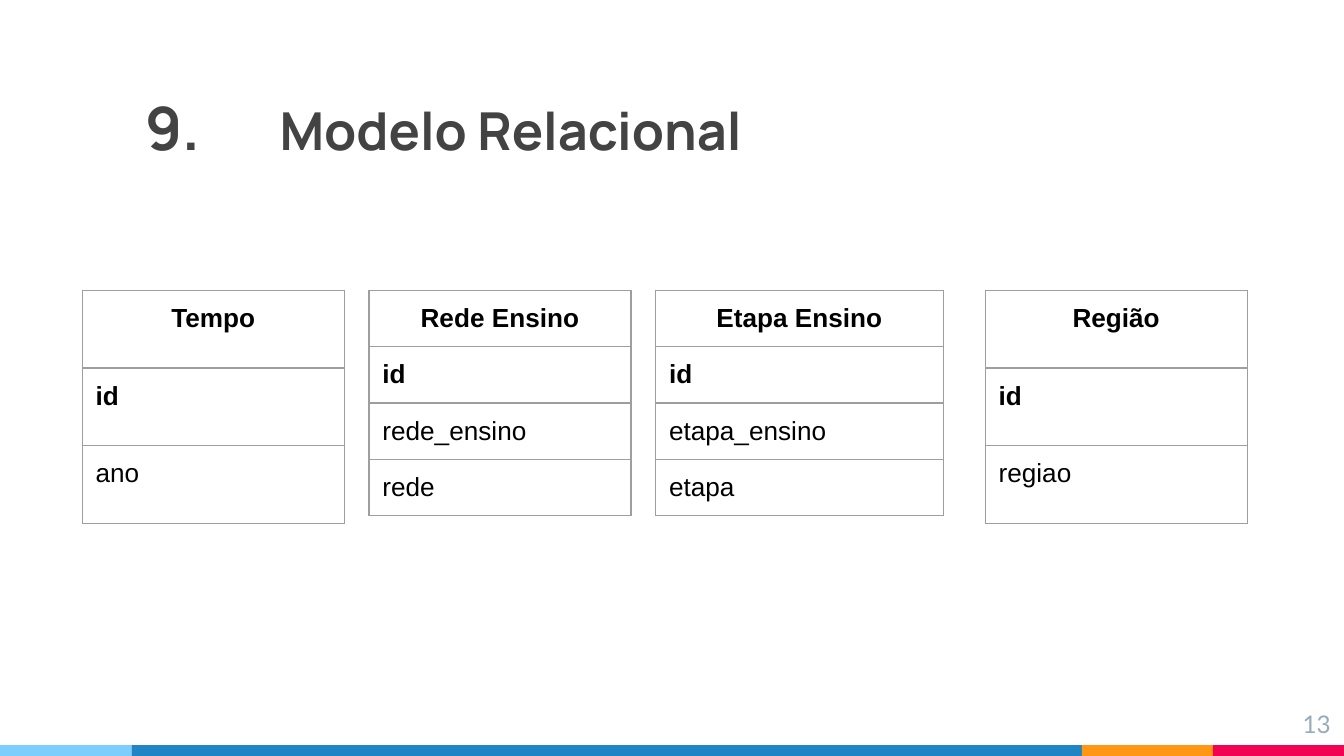
import pptx
import pptx.dml.color
import pptx.enum.shapes
import pptx.enum.text
import pptx.oxml
import pptx.oxml.ns
import pptx.util

ALIGN = pptx.enum.text.PP_ALIGN
ANCHOR = pptx.enum.text.MSO_ANCHOR
COLORS = {
    "white": "FFFFFF", "black": "000000", "title": "434343",
    "number": "97ABBC", "border": "9E9E9E",
    "sky": "7ECEFD", "blue": "2185C5", "orange": "FF9715", "red": "F20253",
}


def color(name):
    return pptx.dml.color.RGBColor.from_string(COLORS[name])


def add_text(paragraph, text, size=14, font="Arial", ink="black", bold=False,
             align=ALIGN.LEFT):
    paragraph.alignment = align
    run = paragraph.add_run()
    run.text = text
    run.font.size = pptx.util.Pt(size)
    run.font.name = font
    run.font.bold = bold
    run.font.color.rgb = color(ink)


class SlideBuilder:
    """Places elements on a grid of 100 columns and 56.25 rows."""

    columns, rows = 100, 56.25
    cell = pptx.util.Inches(0.1)
    margin = pptx.util.Inches(0.1)

    def __init__(self, presentation):
        presentation.slide_width = self.length(self.columns)
        presentation.slide_height = self.length(self.rows)
        title_only = presentation.slide_layouts[5]
        self.slide = presentation.slides.add_slide(title_only)
        self.slide.background.fill.solid()
        self.slide.background.fill.fore_color.rgb = color("white")

    def length(self, units):
        return pptx.util.Emu(round(units * self.cell))

    def box(self, *units):
        return [self.length(unit) for unit in units]

    def set_frame(self, frame, anchor):
        frame.word_wrap = True
        frame.auto_size = pptx.enum.text.MSO_AUTO_SIZE.NONE
        frame.vertical_anchor = anchor
        frame.margin_left = frame.margin_right = self.margin
        frame.margin_top = frame.margin_bottom = self.margin

    def bar(self, left, width, fill, height=0.8):
        shape = self.slide.shapes.add_shape(
            pptx.enum.shapes.MSO_SHAPE.RECTANGLE,
            *self.box(left, self.rows - height, width, height))
        shape.shadow.inherit = False
        shape.fill.solid()
        shape.fill.fore_color.rgb = color(fill)
        shape.line.fill.background()

    def title(self, number, text, left, top, width, height, tab=10):
        shape = self.slide.shapes.title
        shape.left, shape.top, shape.width, shape.height = self.box(
            left, top, width, height)
        self.set_frame(shape.text_frame, ANCHOR.BOTTOM)
        paragraph = shape.text_frame.paragraphs[0]
        for part, size in ((number + "\t", 32), (text, 28)):
            add_text(paragraph, part, size=size, font="Manrope", ink="title",
                     bold=True)
        # The tab stop sets the gap between number and text
        paragraph._p.get_or_add_pPr().append(pptx.oxml.parse_xml(
            f'<a:tabLst {pptx.oxml.ns.nsdecls("a")}>'
            f'<a:tab pos="{self.length(tab)}" algn="l"/></a:tabLst>'))

    def page_number(self, text, left, top, width, height):
        shape = self.slide.shapes.add_textbox(
            *self.box(left, top, width, height))
        self.set_frame(shape.text_frame, ANCHOR.TOP)
        add_text(shape.text_frame.paragraphs[0], text, size=13, font="Lato",
                 ink="number", align=ALIGN.RIGHT)

    def entity(self, name, fields, left, top, width, row_height):
        labels = [name, *fields]
        table = self.slide.shapes.add_table(
            len(labels), 1,
            *self.box(left, top, width, row_height * len(labels))).table
        table.first_row = table.horz_banding = False
        for index, label in enumerate(labels):
            cell = table.cell(index, 0)
            cell.margin_left = cell.margin_right = self.margin
            cell.margin_top = cell.margin_bottom = self.margin
            # The name and the key below it are bold
            add_text(cell.text_frame.paragraphs[0], label, bold=index < 2,
                     align=ALIGN.LEFT if index else ALIGN.CENTER)
            self.border(cell)
            cell.fill.background()

    def border(self, cell):
        properties = cell._tc.get_or_add_tcPr()
        for side in ("lnL", "lnR", "lnT", "lnB"):
            properties.append(pptx.oxml.parse_xml(
                f'<a:{side} {pptx.oxml.ns.nsdecls("a")} '
                f'w="{pptx.util.Pt(0.75)}"><a:solidFill>'
                f'<a:srgbClr val="{COLORS["border"]}"/>'
                f'</a:solidFill></a:{side}>'))


def main():
    presentation = pptx.Presentation()
    builder = SlideBuilder(presentation)

    # Footer strip
    left = 0
    for width, fill in ((9.8, "sky"), (70.7, "blue"), (9.75, "orange"),
                        (9.75, "red")):
        builder.bar(left, width, fill)
        left += width

    # Title and page number
    builder.title("9.", "Modelo Relacional", 9.8, 3.7, 70.7, 9.4)
    builder.page_number("13", 94, 51.75, 6, 3.4)

    # Entities of the relational model
    entities = (
        ("Tempo", ["id", "ano"], 6.12, 19.5, 5.78),
        ("Rede Ensino", ["id", "rede_ensino", "rede"], 27.45, 19.5, 4.2),
        ("Etapa Ensino", ["id", "etapa_ensino", "etapa"], 48.78, 21.4, 4.2),
        ("Região", ["id", "regiao"], 73.3, 19.5, 5.78),
    )
    for name, fields, left, width, row_height in entities:
        builder.entity(name, fields, left, 21.6, width, row_height)

    presentation.save("out.pptx")


if __name__ == "__main__":
    main()
